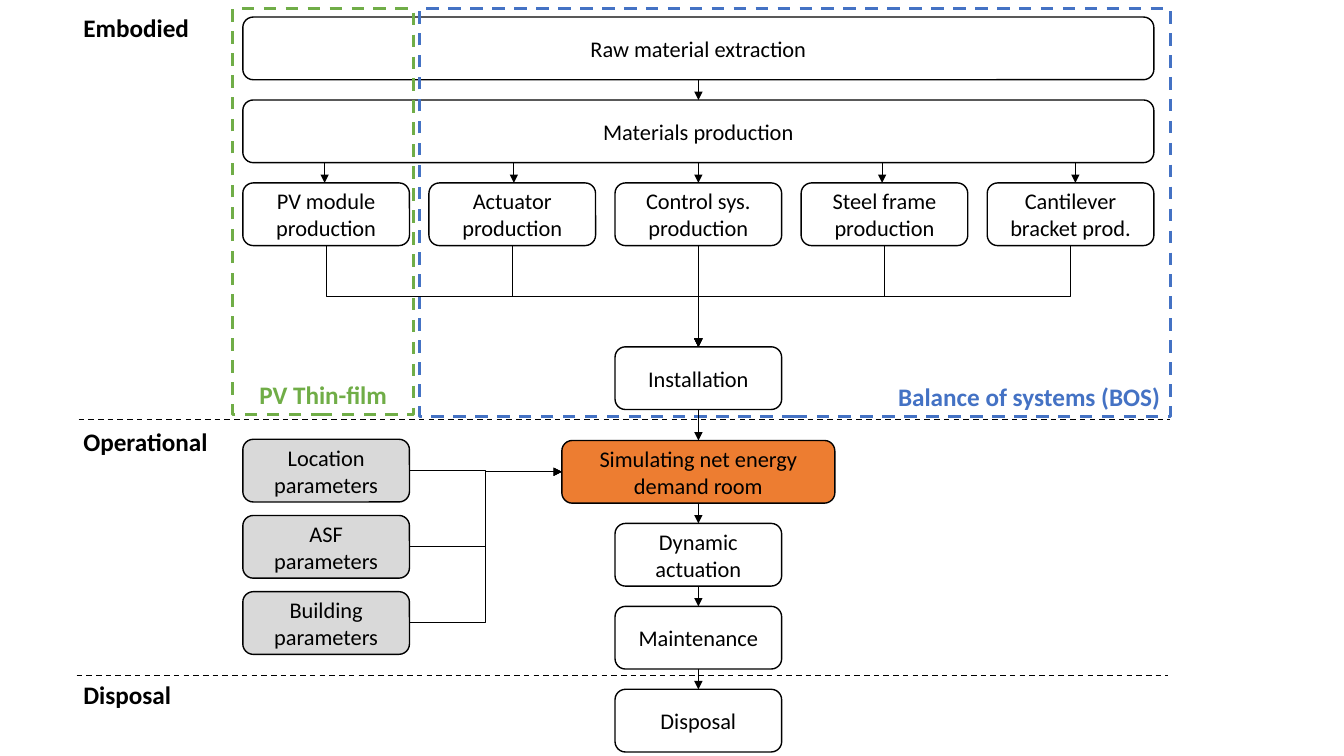
from pptx import Presentation
from pptx.dml.color import RGBColor
from pptx.enum.dml import MSO_LINE
from pptx.enum.shapes import MSO_CONNECTOR, MSO_SHAPE
from pptx.enum.text import MSO_ANCHOR, PP_ALIGN
from pptx.oxml.ns import qn
from pptx.util import Cm, Pt
from lxml.etree import SubElement

THEME = {
    "font": "Calibri", "box_size": 16, "label_size": 18,
    "ink": "000000", "paper": "FFFFFF", "input": "D9D9D9",
    "simulation": "ED7D31", "thin_film": "70AD47", "bos": "4472C4",
}

deck = Presentation()
deck.slide_width, deck.slide_height = Cm(33.87), Cm(19.05)
slide = deck.slides.add_slide(deck.slide_layouts[6])


def add_block(kind, left, top, width, height, text, fill=None, line="ink", weight=1,
              size="box_size", color="ink", bold=False, align=PP_ALIGN.CENTER,
              anchor=MSO_ANCHOR.MIDDLE):
    """Add a shape with one styled run; a line of None leaves the outline off."""
    block = slide.shapes.add_shape(kind, Cm(left), Cm(top), Cm(width), Cm(height))
    block.shadow.inherit = False
    if fill:
        block.fill.solid()
        block.fill.fore_color.rgb = RGBColor.from_string(THEME[fill])
    else:
        block.fill.background()
    block.line.color.rgb = RGBColor.from_string(THEME[line])
    block.line.width = Pt(weight)
    frame = block.text_frame
    frame.word_wrap = True
    frame.vertical_anchor = anchor
    frame.margin_top = frame.margin_bottom = Cm(0.13)
    frame.paragraphs[0].alignment = align
    run = frame.paragraphs[0].add_run()
    run.text = text
    run.font.name, run.font.size, run.font.bold = THEME["font"], Pt(THEME[size]), bold
    run.font.color.rgb = RGBColor.from_string(THEME[color])
    return block


def add_link(x1, y1, x2, y2, kind=MSO_CONNECTOR.STRAIGHT, weight=0.75, arrow=True,
             rotation=0):
    link = slide.shapes.add_connector(kind, Cm(x1), Cm(y1), Cm(x2), Cm(y2))
    link.line.color.rgb = RGBColor.from_string(THEME["ink"])
    link.line.width = Pt(weight)
    properties = link._element.spPr
    if arrow:
        SubElement(link.line._get_or_add_ln(), qn("a:tailEnd"), type="triangle")
    if rotation:
        properties.find(qn("a:xfrm")).set("rot", str(rotation * 60000))
    SubElement(properties, qn("a:effectLst"))
    return link


# Grid in centimetres
BOX_W, BOX_H = 4.2, 1.58
LEFT, COLUMN_STEP = 6.12, 4.69
FIRST_ROW, ROW_STEP = 0.43, 2.09
ROW_W = 4 * COLUMN_STEP + BOX_W
centers = [LEFT + BOX_W / 2 + i * COLUMN_STEP for i in range(5)]
spine = centers[2]
production_top = FIRST_ROW + 2 * ROW_STEP
production_bottom = production_top + BOX_H
installation_top = 8.74
simulation_top, simulation_w = 11.1, 6.88
simulation_left = spine - simulation_w / 2

# Material stages across the full width
for row, stage in enumerate(["Raw material extraction", "Materials production"]):
    add_block(MSO_SHAPE.ROUNDED_RECTANGLE, LEFT, FIRST_ROW + row * ROW_STEP,
              ROW_W, BOX_H, stage, "paper")

# Dashed system boundaries
for left, width, height, title, color, align in [
    (5.87, 4.55, 10.22, "PV Thin-film", "thin_film", PP_ALIGN.CENTER),
    (10.57, 18.92, 10.27, "Balance of systems (BOS)", "bos", PP_ALIGN.RIGHT),
]:
    boundary = add_block(MSO_SHAPE.RECTANGLE, left, 0.22, width, height, title,
                         line=color, weight=2.25, size="label_size", color=color,
                         bold=True, align=align, anchor=MSO_ANCHOR.BOTTOM)
    boundary.line.dash_style = MSO_LINE.DASH

# Phase dividers
for left, y in [(1.98, 10.57), (1.93, 17.02)]:
    divider = add_link(left, y, left + 27.5, y, weight=1, arrow=False)
    divider.line.dash_style = MSO_LINE.DASH

# Component production, each gathered into installation
components = ["PV module production", "Actuator production", "Control sys. production",
              "Steel frame production", "Cantilever bracket prod."]
drop = installation_top - production_bottom
middle = production_bottom + drop / 2
for i, (component, center) in enumerate(zip(components, centers)):
    add_block(MSO_SHAPE.ROUNDED_RECTANGLE, center - BOX_W / 2, production_top,
              BOX_W, BOX_H, component, "paper")
    if i == 2:
        add_link(spine, production_bottom, spine, installation_top)
        continue
    # A quarter turn makes the elbow leave the box downwards
    side = 1 if center < spine else -1
    turn_x, reach = (center + spine) / 2, abs(spine - center)
    add_link(turn_x + side * drop / 2, middle - reach / 2,
             turn_x - side * drop / 2, middle + reach / 2,
             MSO_CONNECTOR.ELBOW, rotation=270 if side == 1 else 90)

# Arrows from materials into each component
for x in [8.18, 12.95, spine, 22.23, 27.1]:
    add_link(x, production_top - ROW_STEP + BOX_H, x, production_top)

# Parameters feeding the simulation
for i, topic in enumerate(["Location", "ASF", "Building"]):
    top = 11.07 + i * 1.92
    add_block(MSO_SHAPE.ROUNDED_RECTANGLE, LEFT, top, BOX_W, BOX_H,
              topic + " parameters", "input")
    add_link(LEFT + BOX_W, top + BOX_H / 2, simulation_left,
             simulation_top + BOX_H / 2, MSO_CONNECTOR.ELBOW)

# Central chain from installation to disposal
chain = [("Installation", installation_top, BOX_W, "paper"),
         ("Simulating net energy demand room", simulation_top, simulation_w, "simulation")]
for i, step in enumerate(["Dynamic actuation", "Maintenance", "Disposal"], 1):
    chain.append((step, simulation_top + i * ROW_STEP, BOX_W, "paper"))
for step, top, width, fill in chain:
    add_block(MSO_SHAPE.ROUNDED_RECTANGLE, spine - width / 2, top, width, BOX_H, step, fill)

# Straight arrows down the spine
tops = [top for _, top, _, _ in chain]
add_link(spine, FIRST_ROW + BOX_H, spine, FIRST_ROW + ROW_STEP)
for upper, lower in zip(tops, tops[1:]):
    add_link(spine, upper + BOX_H, spine, lower)

# Phase names
for phase, top in [("Embodied", 0.18), ("Operational", 10.62), ("Disposal", 16.99)]:
    label = slide.shapes.add_textbox(Cm(1.85), Cm(top), Cm(4.24), Cm(1.02))
    label.text_frame.word_wrap = True
    run = label.text_frame.paragraphs[0].add_run()
    run.text = phase
    run.font.name, run.font.size = THEME["font"], Pt(THEME["label_size"])
    run.font.bold = True
    run.font.color.rgb = RGBColor.from_string(THEME["ink"])

deck.save("out.pptx")
